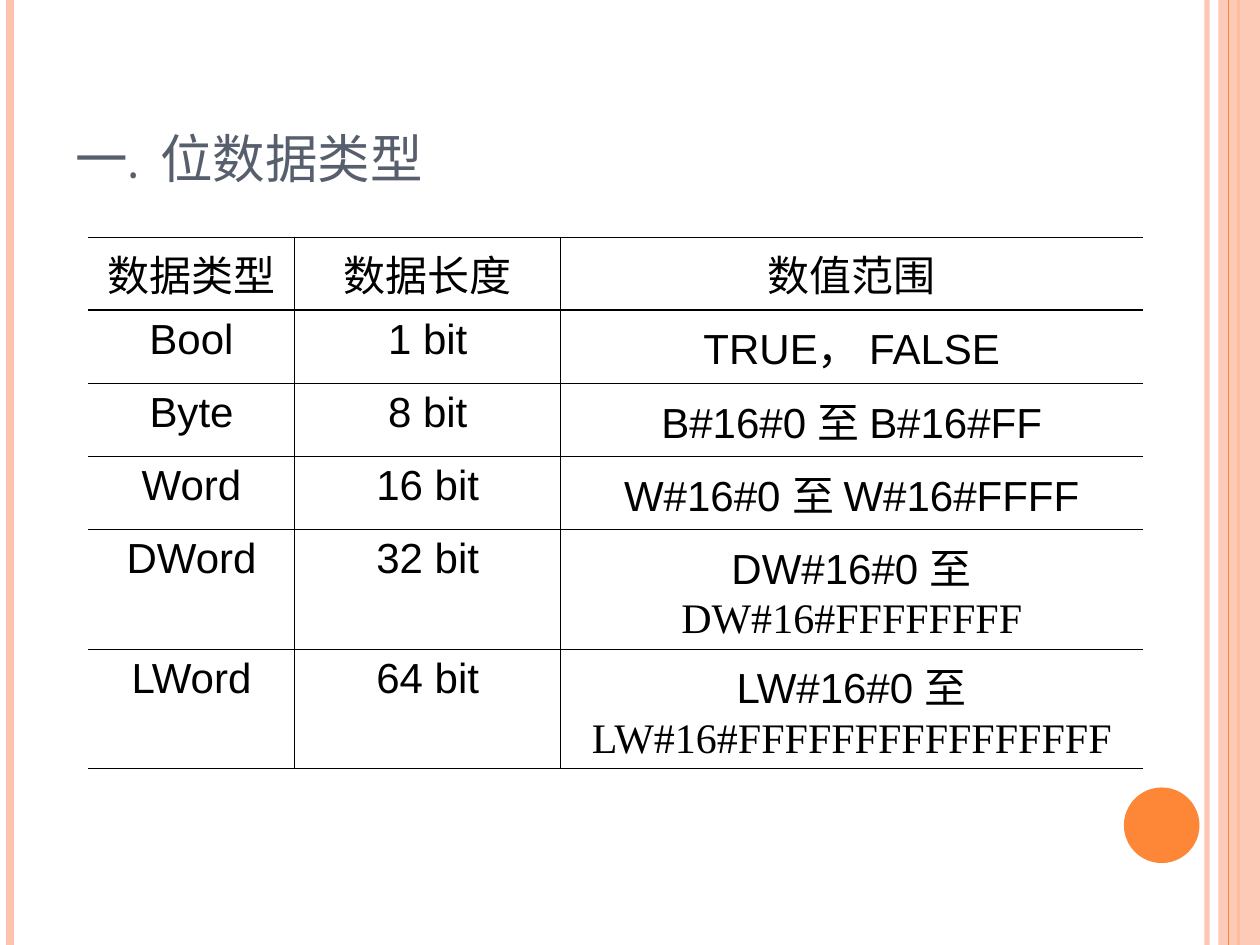
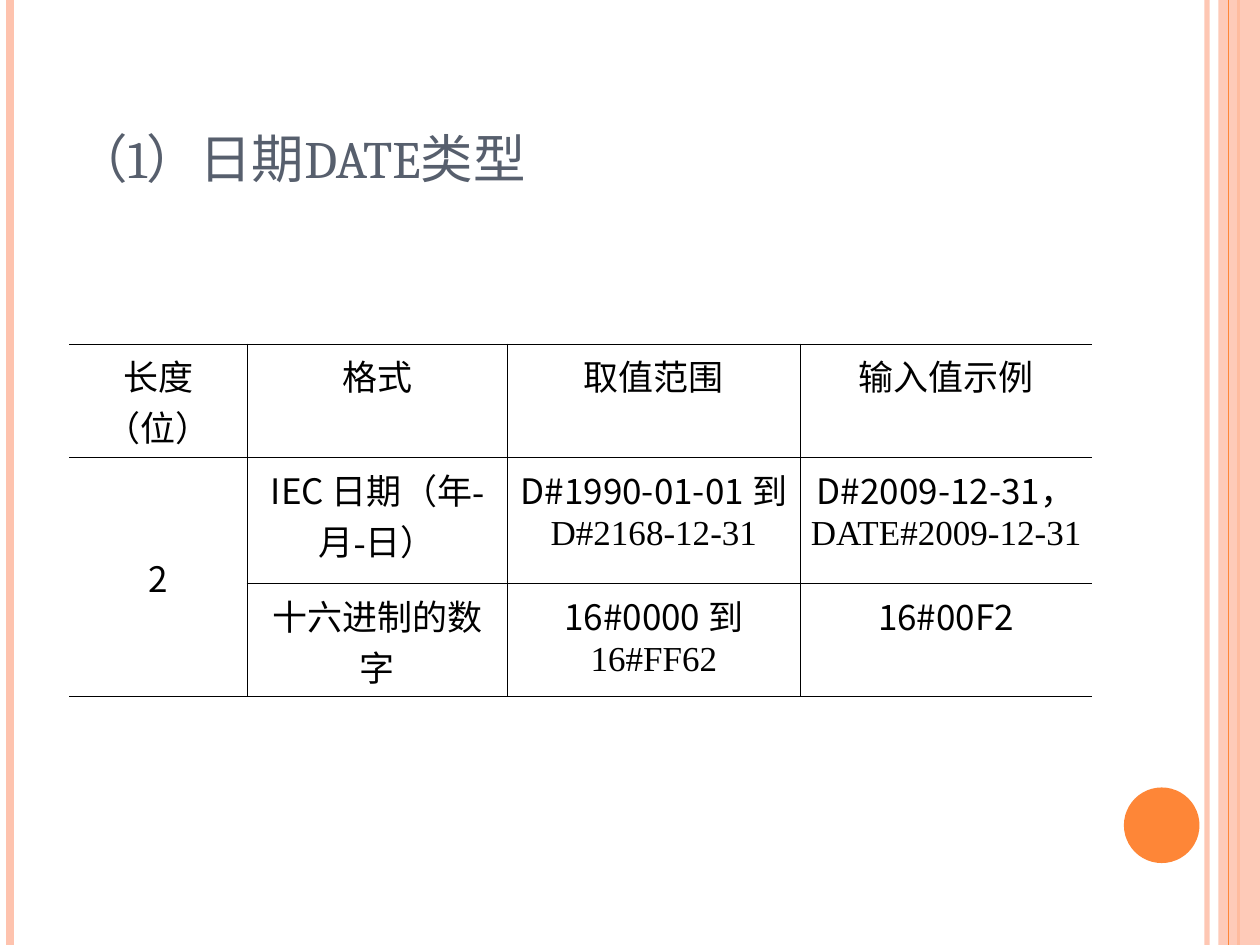
from dataclasses import dataclass

from lxml.etree import SubElement
from pptx import Presentation
from pptx.dml.color import RGBColor
from pptx.enum.shapes import MSO_CONNECTOR, MSO_SHAPE
from pptx.enum.text import MSO_ANCHOR, PP_ALIGN
from pptx.oxml import parse_xml
from pptx.oxml.ns import nsdecls, qn
from pptx.slide import Slide
from pptx.table import _Cell
from pptx.text.text import _Paragraph
from pptx.util import Inches, Pt

COLORS = {"title": "575F6D", "text": "000000", "peach": "FEC3AE", "orange": "FE8637"}
CJK = "Noto Sans CJK SC"
TIMES = "Times New Roman"
HEIGHT = 7.5
THIN, MEDIUM = 0.45, 0.75


@dataclass(frozen=True)
class Stripe:
    x: float
    color: str
    width: float
    alpha: int = 100


@dataclass(frozen=True)
class Run:
    text: str
    font: str


@dataclass(frozen=True)
class TableSpec:
    left: float
    top: float
    cols: list[float]
    rows: list[float]
    cells: list[list[list[Run]]]
    size: int
    margin: float
    header_line: float
    merged: tuple[int, int, int, int] | None = None


LEFT_STRIPES = [
    Stripe(9.58, "peach", 3, 93),
    Stripe(0.08, "peach", 4.5),
    Stripe(9.83, "orange", 1.5),
]
BAND_STRIPE = Stripe(9.75, "orange", 0.75)


def rgb(name: str) -> RGBColor:
    return RGBColor.from_string(COLORS[name])


def set_alpha(element, percent: int) -> None:
    color = next(element.iter(qn("a:srgbClr")))
    SubElement(color, qn("a:alpha"), val=str(percent * 1000))


def add_run(p: _Paragraph, text: str, *, font: str, size: float, color: str = "text") -> None:
    r = p.add_run()
    r.text = text
    r.font.name = font
    r.font.size = Pt(size)
    r.font.color.rgb = rgb(color)
    latin = r.font._element.find(qn("a:latin"))
    latin.addnext(parse_xml(f'<a:ea {nsdecls("a")} typeface="{CJK}"/>'))


def add_stripe(s: Slide, stripe: Stripe) -> None:
    x = Inches(stripe.x)
    line = s.shapes.add_connector(MSO_CONNECTOR.STRAIGHT, x, 0, x, Inches(HEIGHT))
    line.line.color.rgb = rgb(stripe.color)
    line.line.width = Pt(stripe.width)
    sp_pr = line._element.spPr
    if stripe.alpha < 100:
        set_alpha(sp_pr, stripe.alpha)
    SubElement(sp_pr, qn("a:effectLst"))


def add_filled(s: Slide, kind: MSO_SHAPE, left: float, top: float, width: float,
               height: float, color: str, alpha: int = 100) -> None:
    sp = s.shapes.add_shape(kind, Inches(left), Inches(top), Inches(width), Inches(height))
    sp.shadow.inherit = False
    sp.fill.solid()
    sp.fill.fore_color.rgb = rgb(color)
    sp.line.fill.background()
    if alpha < 100:
        set_alpha(sp._element.spPr, alpha)


def add_decoration(s: Slide) -> None:
    for stripe in LEFT_STRIPES:
        add_stripe(s, stripe)
    add_filled(s, MSO_SHAPE.RECTANGLE, 9.67, 0, 0.33, HEIGHT, "peach", 87)
    add_stripe(s, BAND_STRIPE)
    add_filled(s, MSO_SHAPE.OVAL, 8.92, 6.25, 0.6, 0.6, "orange")


def add_title(s: Slide, text: str) -> None:
    box = s.shapes.add_textbox(Inches(0.5), Inches(0.3), Inches(8.17), Inches(1.25))
    tf = box.text_frame
    tf.word_wrap = True
    tf.vertical_anchor = MSO_ANCHOR.BOTTOM
    add_run(tf.paragraphs[0], text, font="Cambria", size=30, color="title")


def set_borders(cell: _Cell, widths: dict[str, float]) -> None:
    """Draw the sides L, R, T and B; a width of 0 means no line."""
    tc_pr = cell._tc.get_or_add_tcPr()
    for i, side in enumerate("LRTB"):
        width = widths[side]
        fill = (f'<a:solidFill><a:srgbClr val="{COLORS["text"]}"/></a:solidFill>'
                if width else "<a:noFill/>")
        tc_pr.insert(i, parse_xml(
            f'<a:ln{side} {nsdecls("a")} w="{Pt(width)}">{fill}</a:ln{side}>'))


def add_data_table(s: Slide, spec: TableSpec) -> None:
    n_rows, n_cols = len(spec.rows), len(spec.cols)
    frame = s.shapes.add_table(n_rows, n_cols, Inches(spec.left), Inches(spec.top),
                               Inches(sum(spec.cols)), Inches(sum(spec.rows)))
    table = frame.table
    table.first_row = table.horz_banding = False
    for column, width in zip(table.columns, spec.cols):
        column.width = Inches(width)
    for row, height in zip(table.rows, spec.rows):
        row.height = Inches(height)
    for i, row_cells in enumerate(spec.cells):
        for j, runs in enumerate(row_cells):
            cell = table.cell(i, j)
            cell.fill.background()
            cell.margin_left = cell.margin_right = Inches(spec.margin)
            set_borders(cell, {
                "L": THIN if j else 0,
                "R": THIN if j < n_cols - 1 else 0,
                "T": spec.header_line if i == 1 else THIN,
                "B": spec.header_line if i == 0 else THIN,
            })
            p = cell.text_frame.paragraphs[0]
            p.alignment = PP_ALIGN.CENTER
            for run in runs:
                add_run(p, run.text, font=run.font, size=spec.size)
    if spec.merged:
        top, left, bottom, right = spec.merged
        table.cell(top, left).merge(table.cell(bottom, right))
        table.cell(top, left).vertical_anchor = MSO_ANCHOR.MIDDLE


def row_of(font: str, *texts: str) -> list[list[Run]]:
    return [[Run(text, font)] for text in texts]


def mixed(first: str, second: str, font: str) -> list[Run]:
    return [Run(first, font), Run(second, TIMES)]


BIT_TYPES = TableSpec(
    left=0.7, top=1.88, cols=[1.64, 2.11, 4.62], rows=[0.58] * 4 + [0.95] * 2,
    size=24, margin=0.1, header_line=MEDIUM,
    cells=[
        row_of("Arial", "数据类型", "数据长度", "数值范围"),
        row_of("Arial", "Bool", "1 bit", "TRUE， FALSE"),
        row_of("Arial", "Byte", "8 bit", "B#16#0 至 B#16#FF"),
        row_of("Arial", "Word", "16 bit", "W#16#0 至 W#16#FFFF"),
        row_of("Arial", "DWord", "32 bit") + [mixed("DW#16#0 至 ", "DW#16#FFFFFFFF", "Arial")],
        row_of("Arial", "LWord", "64 bit")
        + [mixed("LW#16#0 至 ", "LW#16#FFFFFFFFFFFFFFFF", "Arial")],
    ],
)

DATE_TYPE = TableSpec(
    left=0.55, top=2.73, cols=[1.41, 2.07, 2.32, 2.32], rows=[0.9, 1, 0.9],
    size=20, margin=0.08, header_line=THIN, merged=(1, 0, 2, 0),
    cells=[
        row_of(TIMES, "长度（位）", "格式", "取值范围", "输入值示例"),
        [
            [Run("2", CJK)],
            mixed("IEC ", "日期（年-月-日）", CJK),
            mixed("D#1990-01-01 ", "到D#2168-12-31", CJK),
            mixed("D#2009-12-31", "，DATE#2009-12-31", CJK),
        ],
        [
            [],
            [Run("十六进制的数字", TIMES)],
            mixed("16#0000 ", "到16#FF62", CJK),
            [Run("16#00F2", CJK)],
        ],
    ],
)

SLIDES = [("一.  位数据类型", BIT_TYPES), ("（1）日期DATE类型", DATE_TYPE)]


def main() -> None:
    prs = Presentation()
    prs.slide_width, prs.slide_height = Inches(10), Inches(HEIGHT)
    for title, spec in SLIDES:
        s = prs.slides.add_slide(prs.slide_layouts[6])
        add_decoration(s)
        add_title(s, title)
        add_data_table(s, spec)
    prs.save("out.pptx")


if __name__ == "__main__":
    main()
